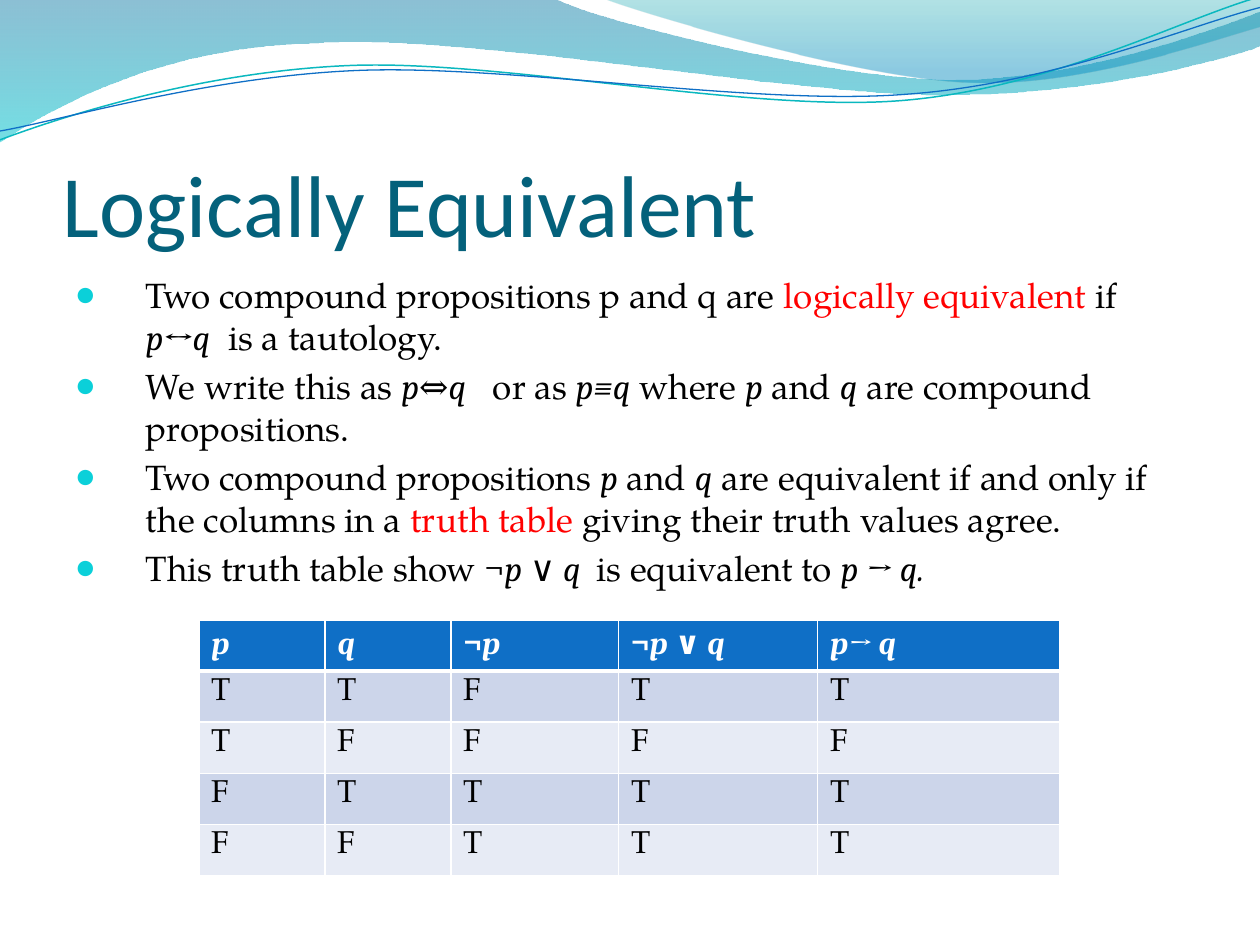
from math import cos, radians, sin

from lxml import etree
from pptx import Presentation
from pptx.dml.color import RGBColor
from pptx.enum.text import MSO_ANCHOR
from pptx.oxml.ns import qn
from pptx.util import Inches, Pt

BOTTOM = MSO_ANCHOR.BOTTOM
TOP = MSO_ANCHOR.TOP

COLORS = {
    "title": "04617B", "text": "000000", "red": "FF0000", "bullet": "0BD0D9",
    "white": "FFFFFF", "header": "0F6FC6", "band": "CCD5EA", "light": "E7EBF5",
    "teal line": "0AB8BF", "blue line": "0F6FC6",
    "wave top": "0074A1", "wave bottom": "00C6CF",
    "corner top": "00A1A9", "corner bottom": "008BBF",
}
SERIF, MATH, SANS = "TeX Gyre Pagella", "Cambria", "Calibri"

# style name: (font, italic, color)
STYLES = {
    "text": (SERIF, False, "text"),
    "red": (SERIF, False, "red"),
    "var": (MATH, True, "text"),
    "sym": (MATH, False, "text"),
}

TITLE = "Logically Equivalent"
BULLETS = [
    [("text", "Two compound propositions p and q are "), ("red", "logically equivalent "),
     ("text", "if  "), ("var", "p↔q"), ("text", "  is a tautology.")],
    [("text", "We write this as "), ("var", "p⇔q"), ("text", "   or as "), ("var", "p≡q"),
     ("text", " where "), ("var", "p"), ("text", " and "), ("var", "q"),
     ("text", " are compound propositions.")],
    [("text", "Two compound propositions "), ("var", "p"), ("text", " and "), ("var", "q"),
     ("text", " are equivalent if and only if the columns in a "), ("red", "truth table "),
     ("text", "giving their truth values agree.")],
    [("text", "This truth table show "), ("sym", "¬"), ("var", "p "), ("sym", "∨ "),
     ("var", "q  "), ("text", "is equivalent to "), ("var", "p → q.")],
]
HEADERS = [
    [("var", "p")],
    [("var", "q")],
    [("sym", "¬"), ("var", "p")],
    [("sym", "¬"), ("var", "p "), ("sym", "∨ "), ("var", "q")],
    [("var", "p→ q")],
]
TRUTH_ROWS = ["TTFTT", "TFFFF", "FTTTT", "FFTTT"]
COLUMN_WIDTHS = [1, 1, 1.33, 1.58, 1.92]
TABLE_HEIGHT = 2.03

# Outlines: a start point, then line ends (2 numbers) or cubic curves (6 numbers)
WAVES = [
    ([(0, 0), (4.4, -0.01), (4.76, 0.17, 6.64, 0.63, 7.58, 0.63),
      (8.53, 0.63, 9.58, 0.26, 10, 0.09), (10.01, 0.36),
      (9.83, 0.44, 8.7, 0.76, 7.46, 0.75), (6.22, 0.75, 3.82, 0.28, 2.57, 0.34),
      (1.29, 0.36, 0.46, 0.83, -0.01, 1.13)],
     [(0, "wave top", 45), (1, "wave bottom", 55)]),
    ([(4.79, -0.01), (5.09, 0.11, 6.82, 0.62, 7.69, 0.65),
      (8.56, 0.69, 9.61, 0.32, 10, 0.21), (10, 0)],
     [(0, "corner top", 30), (0.8, "corner bottom", 45)]),
]
# Outline as it lies after tilting, pivot, color, width
WAVE_LINES = [
    ([(0, 1.11), (0.48, 0.93, 1.58, 0.57, 2.77, 0.52),
      (3.95, 0.47, 5.93, 0.89, 7.13, 0.8), (8.33, 0.71, 9.38, 0.15, 9.98, -0.02)],
     (4.99, 0.57), "teal line", 0.85),
    ([(0, 1.04), (0.47, 0.96, 1.64, 0.61, 2.83, 0.56),
      (4.03, 0.51, 5.97, 0.84, 7.17, 0.75), (8.36, 0.67, 9.41, 0.21, 10, 0.06)],
     (5, 0.59), "blue line", 0.75),
]
TILT = 2.7


def rgb(name):
    return RGBColor.from_string(COLORS[name])


def untilt(segment, pivot):
    """Turn the points of a segment clockwise by TILT about the pivot."""
    c, s = cos(radians(TILT)), sin(radians(TILT))
    turned = []
    for x, y in zip(segment[::2], segment[1::2]):
        dx, dy = x - pivot[0], y - pivot[1]
        turned += [pivot[0] + dx * c - dy * s, pivot[1] + dx * s + dy * c]
    return tuple(turned)


def add_outline(slide, outline, close):
    """Draw through all points, then join each curve's three into one cubic."""
    points = [(Inches(x), Inches(y)) for segment in outline
              for x, y in zip(segment[::2], segment[1::2])]
    builder = slide.shapes.build_freeform(*points[0])
    builder.add_line_segments(points[1:], close=close)
    sp = builder.convert_to_shape()
    sp.shadow.inherit = False
    steps = iter(list(sp._element.iter(qn("a:lnTo"))))
    for segment in outline[1:]:
        step = next(steps)
        if len(segment) == 6:
            cubic = etree.Element(qn("a:cubicBezTo"))
            step.addprevious(cubic)
            for old in (step, next(steps), next(steps)):
                cubic.append(old[0])
                old.getparent().remove(old)
    return sp


def add_wave(slide, outline, stops):
    sp = add_outline(slide, outline, True)
    sp.line.fill.background()
    sp.fill.gradient()
    sp.fill.gradient_angle = 270
    for stop, (position, color, _) in zip(sp.fill.gradient_stops, stops):
        stop.position = position
        stop.color.rgb = rgb(color)
    for node, (_, _, opacity) in zip(sp._element.iter(qn("a:srgbClr")), stops):
        etree.SubElement(node, qn("a:alpha"), val=str(opacity * 1000))


def add_wave_line(slide, outline, pivot, color, width):
    sp = add_outline(slide, [untilt(segment, pivot) for segment in outline], False)
    sp.rotation = 360 - TILT
    sp.fill.background()
    sp.line.color.rgb = rgb(color)
    sp.line.width = Pt(width)


def add_run(p, text, size, font, color, italic=False, bold=False):
    r = p.add_run()
    r.text = text
    r.font.size, r.font.name = Pt(size), font
    r.font.italic, r.font.bold = italic, bold
    r.font.color.rgb = rgb(color)


def add_text_frame(slide, left, top, width, height, anchor):
    box = slide.shapes.add_textbox(Inches(left), Inches(top), Inches(width), Inches(height))
    tf = box.text_frame
    tf.word_wrap = True
    tf.vertical_anchor = anchor
    return tf


def set_bullet(p):
    pPr = p._p.get_or_add_pPr()
    pPr.set("marL", str(Inches(0.56)))
    pPr.set("indent", str(Inches(-0.56)))
    color = etree.SubElement(pPr, qn("a:buClr"))
    etree.SubElement(color, qn("a:srgbClr"), val=COLORS["bullet"])
    etree.SubElement(pPr, qn("a:buSzPct"), val="95000")
    etree.SubElement(pPr, qn("a:buFont"), typeface=SANS)
    etree.SubElement(pPr, qn("a:buChar"), char="●")


def format_cell(cell, fill, top, bottom):
    tcPr = cell._tc.get_or_add_tcPr()
    for side, width in (("L", 1), ("R", 1), ("T", top), ("B", bottom)):
        ln = etree.SubElement(tcPr, qn("a:ln" + side), w=str(Pt(width)))
        solid = etree.SubElement(ln, qn("a:solidFill"))
        etree.SubElement(solid, qn("a:srgbClr"), val=COLORS["white"])
    cell.fill.solid()
    cell.fill.fore_color.rgb = rgb(fill)


def add_truth_table(slide):
    rows = [HEADERS] + [[[("text", value)] for value in row] for row in TRUTH_ROWS]
    table = slide.shapes.add_table(
        len(rows), len(COLUMN_WIDTHS), Inches(1.58), Inches(4.92),
        Inches(sum(COLUMN_WIDTHS)), Inches(TABLE_HEIGHT)).table
    for column, width in zip(table.columns, COLUMN_WIDTHS):
        column.width = Inches(width)
    for i, row in enumerate(rows):
        header = i == 0
        fill = "header" if header else ("light", "band")[i % 2]
        for j, runs in enumerate(row):
            cell = table.cell(i, j)
            format_cell(cell, fill, 3 if i == 1 else 1, 3 if header else 1)
            for style, text in runs:
                font, italic, color = STYLES[style]
                add_run(cell.text_frame.paragraphs[0], text, 18, font,
                        "white" if header else color, italic, header)


def main():
    prs = Presentation()
    prs.slide_width, prs.slide_height = Inches(10), Inches(7.5)
    slide = prs.slides.add_slide(prs.slide_layouts[6])

    for wave in WAVES:
        add_wave(slide, *wave)
    for line in WAVE_LINES:
        add_wave_line(slide, *line)

    tf = add_text_frame(slide, 0.5, 0.77, 9, 1.25, BOTTOM)
    tf.margin_left = tf.margin_right = tf.margin_bottom = 0
    add_run(tf.paragraphs[0], TITLE, 50, SANS, "title")

    tf = add_text_frame(slide, 0.5, 2.12, 9, 4.8, TOP)
    for i, runs in enumerate(BULLETS):
        p = tf.add_paragraph() if i else tf.paragraphs[0]
        p.space_before = Pt(4)
        set_bullet(p)
        for style, text in runs:
            font, italic, color = STYLES[style]
            add_run(p, text, 20, font, color, italic)

    add_truth_table(slide)
    prs.save("out.pptx")


if __name__ == "__main__":
    main()
